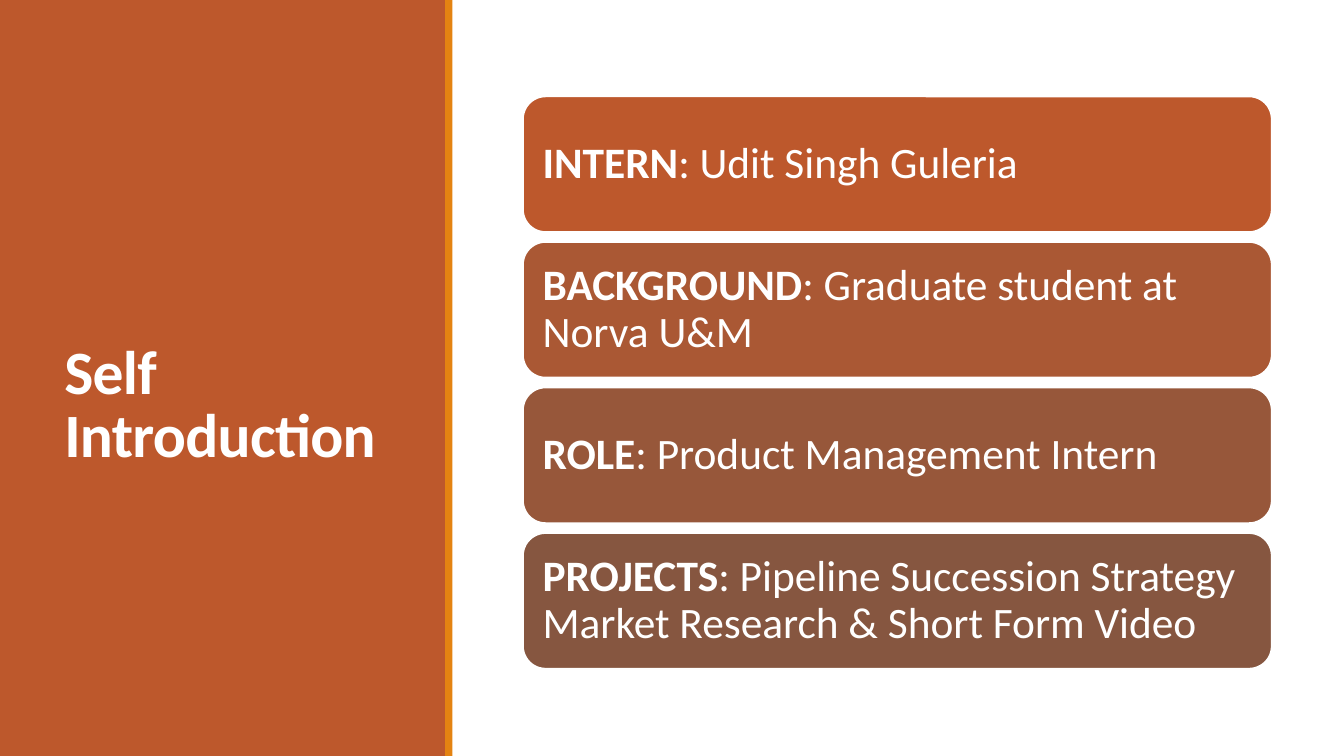
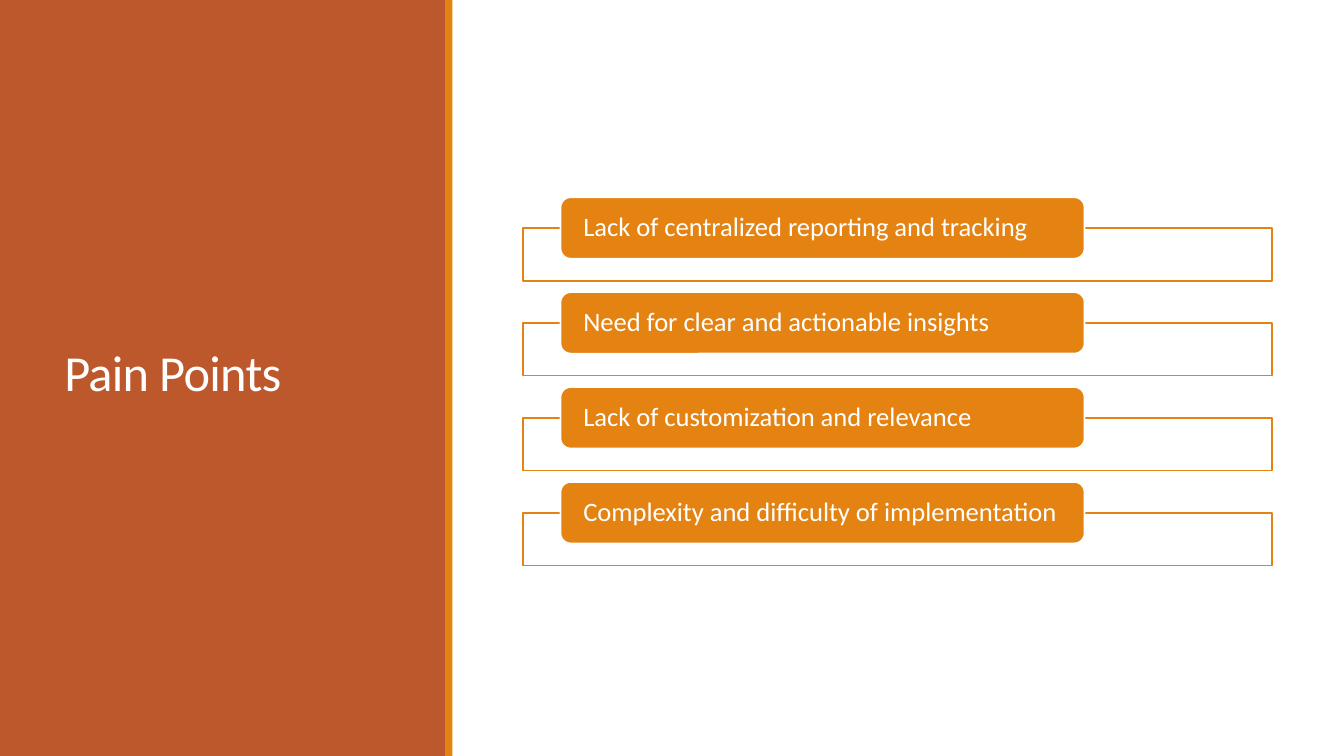
"""Build a two-slide deck with a shared side panel."""
import pptx
import pptx.util
import pptx.dml.color
import pptx.enum.shapes
import pptx.enum.text
import pptx.oxml

Cm = pptx.util.Cm
Pt = pptx.util.Pt
KIND = pptx.enum.shapes.MSO_SHAPE
HUE = {
    "rust": "BD582C",
    "amber": "E48312",
    "white": "FFFFFF",
    "clay": "AA5834",
    "brown": "97573A",
    "umber": "865640",
}
FONT = "Calibri"
WIDE, HIGH = 33.87, 19.05
PANEL = (0, 0, 11.25, HIGH)
STRIP = (11.22, 0, 0.18, HIGH)
TITLE = (1.37, 1.45, 8.56, 16.03)
CARDS = (13.18, 2.43, 18.87, 14.42)
FRAMES = (13.18, 4.97, 18.87, 9.28)

FACTS = [
    ("INTERN", ": Udit Singh Guleria", "rust"),
    ("BACKGROUND", ": Graduate student at Norva U&M", "clay"),
    ("ROLE", ": Product Management Intern", "brown"),
    ("PROJECTS", ": Pipeline Succession Strategy Market Research & Short Form Video", "umber"),
]
PAINS = [
    "Lack of centralized reporting and tracking",
    "Need for clear and actionable insights",
    "Lack of customization and relevance",
    "Complexity and difficulty of implementation",
]


def tint(name):
    """Return the named colour."""
    return pptx.dml.color.RGBColor.from_string(HUE[name])


def apply(item, form):
    """Set each attribute of item from a dict."""
    for key, value in form.items():
        setattr(item, key, value)


def draw(slide, kind, box, fill, edge=None):
    """Add a filled shape, outlined when an edge colour is given."""
    shape = slide.shapes.add_shape(kind, *map(Cm, box))
    shape.shadow.inherit = False
    shape.fill.solid()
    shape.fill.fore_color.rgb = tint(fill)
    if edge:
        shape.line.color.rgb = tint(edge)
        shape.line.width = Pt(1.25)
    else:
        shape.line.fill.background()
    return shape


def write(shape, runs, size, space, pad):
    """Fill a shape with one left-aligned paragraph of (text, bold) runs."""
    frame = shape.text_frame
    apply(frame, {
        "word_wrap": True,
        "auto_size": pptx.enum.text.MSO_AUTO_SIZE.NONE,
        "vertical_anchor": pptx.enum.text.MSO_ANCHOR.MIDDLE,
    })
    sides = ("left", "top", "right", "bottom")
    apply(frame, {f"margin_{side}": Cm(gap) for side, gap in zip(sides, pad)})
    para = frame.paragraphs[0]
    apply(para, {"alignment": pptx.enum.text.PP_ALIGN.LEFT, "line_spacing": space})
    for n, (text, bold) in enumerate(runs):
        if n and text.startswith("\v"):
            para.add_line_break()
        run = para.add_run()
        run.text = text.lstrip("\v")
        apply(run.font, {"name": FONT, "size": Pt(size), "bold": bold})
        run.font.color.rgb = tint("white")
    return para


def panel(slide):
    """Place the side panel and its strip in the slide's layout."""
    tree = slide.slide_layout.shapes._spTree
    parts = ((PANEL, "rust"), (STRIP, "amber"))
    for n, (box, fill) in enumerate(parts):
        node = draw(slide, KIND.RECTANGLE, box, fill)._element
        node.nvSpPr.cNvPr.set("id", str(20 + n))
        tree.insert(2 + n, node)


def head(slide, runs, size, drop=0.13):
    """Move and format the title over the panel."""
    title = slide.shapes.title
    names = ("left", "top", "width", "height")
    apply(title, dict(zip(names, map(Cm, TITLE))))
    para = write(title, runs, size, 0.85, (0.25, drop, 0.25, 0.13))
    for run in para.runs:
        run.font._element.set("spc", "-50")


def cards(slide, box, facts):
    """Stack one rounded card per fact in the box."""
    left, top, wide, high = box
    gap = 0.25
    tall = (high - gap * (len(facts) - 1)) / len(facts)
    for n, (label, text, fill) in enumerate(facts):
        spot = (left, top + n * (tall + gap), wide, tall)
        card = draw(slide, KIND.ROUNDED_RECTANGLE, spot, fill, "white")
        write(card, [(label, True), (text, False)], 31, 0.9, (0.33,) * 4)


def frames(slide, box, pains):
    """Stack open frames, each with a tab centred on its top edge."""
    left, top, wide, high = box
    tab, deep = 1.55, 1.33
    rise = tab / 2
    step = (high - rise - deep) / (len(pains) - 1)
    for n, text in enumerate(pains):
        y = top + n * step
        back = draw(slide, KIND.RECTANGLE, (left, y + rise, wide, deep), "white", "amber")
        shade = back._element.spPr.xpath("./a:solidFill/a:srgbClr")[0]
        alpha = pptx.oxml.parse_xml(
            '<a:alpha xmlns:a="http://schemas.openxmlformats.org/drawingml/2006/main" val="90000"/>')
        shade.append(alpha)
        spot = (left + wide * 0.05, y, wide * 0.7, tab)
        front = draw(slide, KIND.ROUNDED_RECTANGLE, spot, "amber", "white")
        write(front, [(text, False)], 19, 0.9, (0.5, 0, 0.5, 0))


def main():
    """Build and save the deck."""
    deck = pptx.Presentation()
    apply(deck, {"slide_width": Cm(WIDE), "slide_height": Cm(HIGH)})
    plan = deck.slide_layouts[5]
    intro = deck.slides.add_slide(plan)
    panel(intro)
    head(intro, [("Self", True), ("\vIntroduction", True)], 44, 1.7)
    cards(intro, CARDS, FACTS)
    points = deck.slides.add_slide(plan)
    head(points, [("Pain Points", False)], 36)
    frames(points, FRAMES, PAINS)
    deck.save("out.pptx")


if __name__ == "__main__":
    main()
